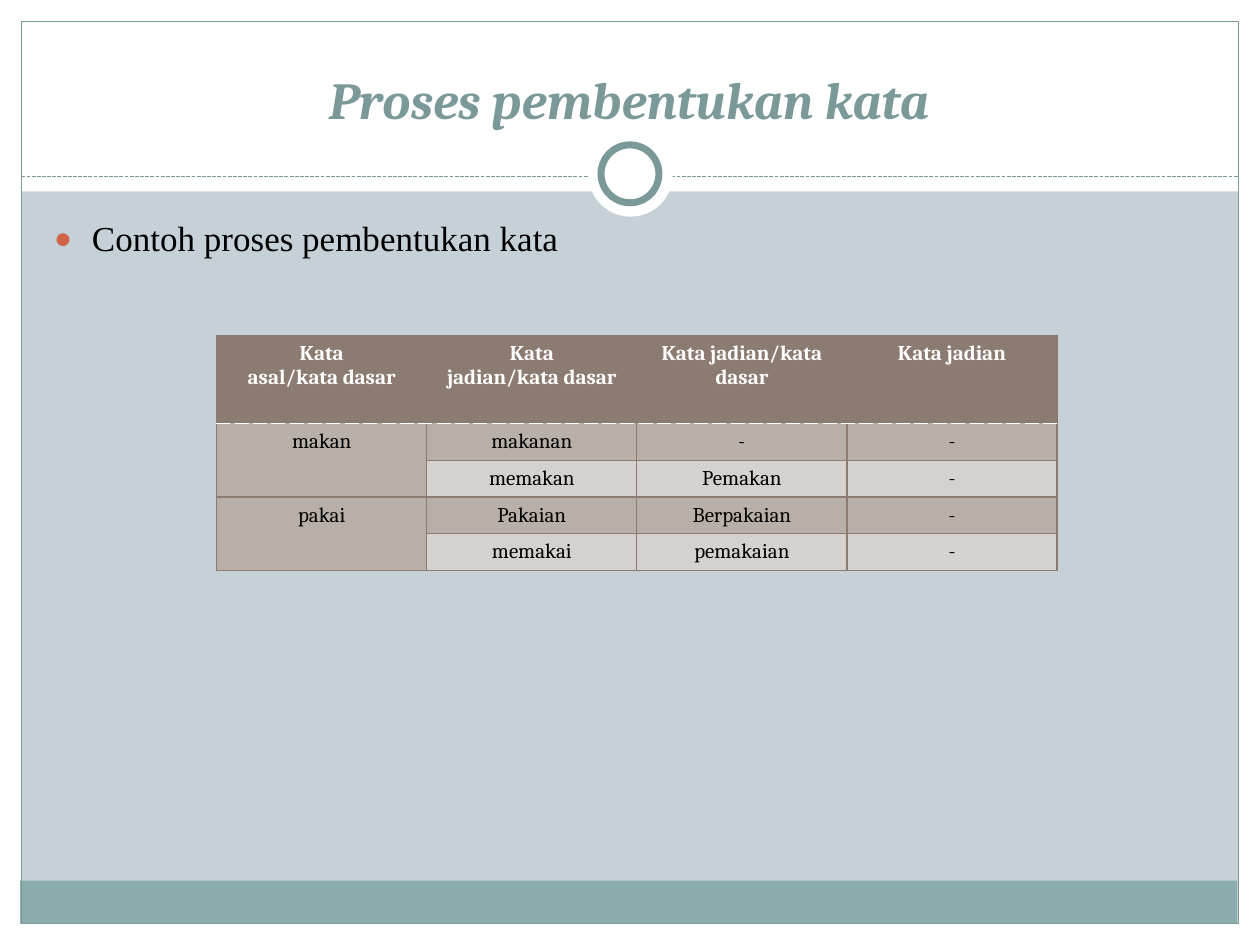
from pptx import Presentation
from pptx.dml.color import RGBColor
from pptx.enum.dml import MSO_LINE_DASH_STYLE as Dash
from pptx.enum.shapes import MSO_CONNECTOR as Connector, MSO_SHAPE as Shape
from pptx.enum.text import MSO_ANCHOR as Anchor, MSO_AUTO_SIZE as AutoSize, PP_ALIGN as Align
from pptx.oxml.ns import qn
from pptx.util import Inches, Pt
from lxml.etree import SubElement

TEAL, BROWN, WHITE, BLACK = "7C999A", "8C7B70", "FFFFFF", "000000"
DARK_BAND, LIGHT_BAND = "B8AFA8", "D5D1CE"


def rgb(value):
    """Turn a hex string into a colour."""
    return RGBColor.from_string(value)


def inches(values):
    """Convert a sequence of numbers to lengths."""
    return [Inches(value) for value in values]


class SlideBuilder:
    """Holds the style and the current slide."""

    heading_font = "Cambria"
    body_font = "Times New Roman"

    def __init__(self, slide, background):
        """Start on a slide with a plain background."""
        self.slide = slide
        slide.background.fill.solid()
        slide.background.fill.fore_color.rgb = rgb(background)

    def shape(self, kind, box, fill=None, line=None, weight=0.75):
        """Add a preset shape."""
        item = self.slide.shapes.add_shape(kind, *inches(box))
        item.shadow.inherit = False
        if fill:
            item.fill.solid()
            item.fill.fore_color.rgb = rgb(fill)
        else:
            item.fill.background()
        if line:
            item.line.color.rgb = rgb(line)
            item.line.width = Pt(weight)
        else:
            item.line.fill.background()

    def dashed_line(self, ends, color):
        """Add a dashed straight line."""
        rule = self.slide.shapes.add_connector(Connector.STRAIGHT, *inches(ends))
        rule.line.color.rgb = rgb(color)
        rule.line.width = Pt(0.75)
        rule.line.dash_style = Dash.SQUARE_DOT
        SubElement(rule.element.spPr, qn("a:effectLst"))

    def style(self, paragraph, font, size, color, bold=False, italic=False):
        """Format every run of a paragraph."""
        for run in paragraph.runs:
            run.font.name, run.font.size = font, Pt(size)
            run.font.bold, run.font.italic = bold, italic
            run.font.color.rgb = rgb(color)

    def place(self, holder, box, text):
        """Move a placeholder to the front, position it and fill in its text."""
        self.slide.shapes.element.append(holder.element)
        holder.left, holder.top, holder.width, holder.height = inches(box)
        holder.text_frame.text = text
        holder.text_frame.word_wrap = True
        holder.text_frame.auto_size = AutoSize.NONE
        return holder.text_frame

    def title(self, box, text):
        """Fill the title placeholder."""
        frame = self.place(self.slide.shapes.title, box, text)
        frame.vertical_anchor = Anchor.BOTTOM
        frame.paragraphs[0].alignment = Align.CENTER
        self.style(frame.paragraphs[0], self.heading_font, 29.7, TEAL, True, True)

    def bullet(self, box, text, color):
        """Fill the body placeholder with one bullet."""
        frame = self.place(self.slide.placeholders[1], box, text)
        frame.vertical_anchor = Anchor.TOP
        paragraph = frame.paragraphs[0]
        self.style(paragraph, self.body_font, 20, BLACK)
        paragraph.space_before = Pt(4)
        properties = paragraph._p.get_or_add_pPr()
        properties.set("marL", str(Inches(0.3)))
        properties.set("indent", str(-Inches(0.3)))
        SubElement(SubElement(properties, qn("a:buClr")), qn("a:srgbClr"), val=color)
        SubElement(properties, qn("a:buSzPct"), val="85000")
        SubElement(properties, qn("a:buFont"), typeface="Arial")
        SubElement(properties, qn("a:buChar"), char="●")

    def border(self, cell, side, color, width, dash="solid"):
        """Draw one border of a table cell."""
        edge = SubElement(cell._tc.get_or_add_tcPr(), qn(f"a:ln{side}"), w=str(Pt(width)))
        SubElement(SubElement(edge, qn("a:solidFill")), qn("a:srgbClr"), val=color)
        SubElement(edge, qn("a:prstDash"), val=dash)

    def cell(self, cell, text, row, fill):
        """Fill and format one table cell."""
        cell.text = text
        for paragraph in cell.text_frame.paragraphs:
            paragraph.alignment = Align.CENTER
            self.style(paragraph, self.heading_font, 12, BLACK if row else WHITE, not row)
        for side in "LRTB":
            if (row, side) in ((0, "B"), (1, "T")):
                self.border(cell, side, WHITE, 0.9, "sysDash")
            else:
                self.border(cell, side, BROWN, 0.75)
        cell.fill.solid()
        cell.fill.fore_color.rgb = rgb(fill)

    def table(self, box, rows, heights, merged_rows):
        """Add a banded table whose first column is merged in pairs."""
        frame = self.slide.shapes.add_table(len(rows), len(rows[0]), *inches(box))
        grid = frame.table
        grid.first_row = grid.horz_banding = False
        for column in grid.columns:
            column.width = Inches(box[2] / len(rows[0]))
        for row, texts in enumerate(rows):
            grid.rows[row].height = Inches(heights[row])
            band = DARK_BAND if row % 2 else LIGHT_BAND
            for column, text in enumerate(texts):
                fill = BROWN if row == 0 else band if column else DARK_BAND
                self.cell(grid.cell(row, column), text, row, fill)
        for row in merged_rows:
            grid.cell(row, 0).merge(grid.cell(row + 1, 0))


def main():
    """Build and save the slide."""
    deck = Presentation()
    deck.slide_width, deck.slide_height = Inches(10), Inches(7.5)
    builder = SlideBuilder(deck.slides.add_slide(deck.slide_layouts[1]), "C5D1D7")

    margins = [(0, 7.33, 10, 0.17), (0, 0, 10, 1.52), (0, 0, 0.17, 7.5), (9.83, 0, 0.17, 7.5)]
    for margin in margins:
        builder.shape(Shape.RECTANGLE, margin, WHITE)
    builder.shape(Shape.RECTANGLE, (0.16, 6.99, 9.66, 0.34), "8CADAE")
    builder.shape(Shape.RECTANGLE, (0.17, 0.17, 9.66, 7.16), line=TEAL)
    builder.dashed_line((0.17, 1.4, 9.83, 1.4), TEAL)
    builder.shape(Shape.OVAL, (4.67, 1.05, 0.67, 0.67), WHITE)
    builder.shape(Shape.OVAL, (4.77, 1.15, 0.46, 0.46), WHITE, TEAL, 4)

    builder.title((0.33, 0.25, 9.33, 0.83), "Proses pembentukan kata")
    builder.bullet((0.33, 1.67, 9.3, 5), "Contoh proses pembentukan kata", "D16349")
    word_forms = [
        ("Kata\nasal/kata dasar", "Kata\njadian/kata dasar", "Kata jadian/kata dasar", "Kata jadian"),
        ("makan", "makanan", "-", "-"),
        ("", "memakan", "Pemakan", "-"),
        ("pakai", "Pakaian", "Berpakaian", "-"),
        ("", "memakai", "pemakaian", "-"),
    ]
    builder.table((1.72, 2.66, 6.67, 1.86), word_forms, [0.7] + [0.29] * 4, (1, 3))
    deck.save("out.pptx")


main()
